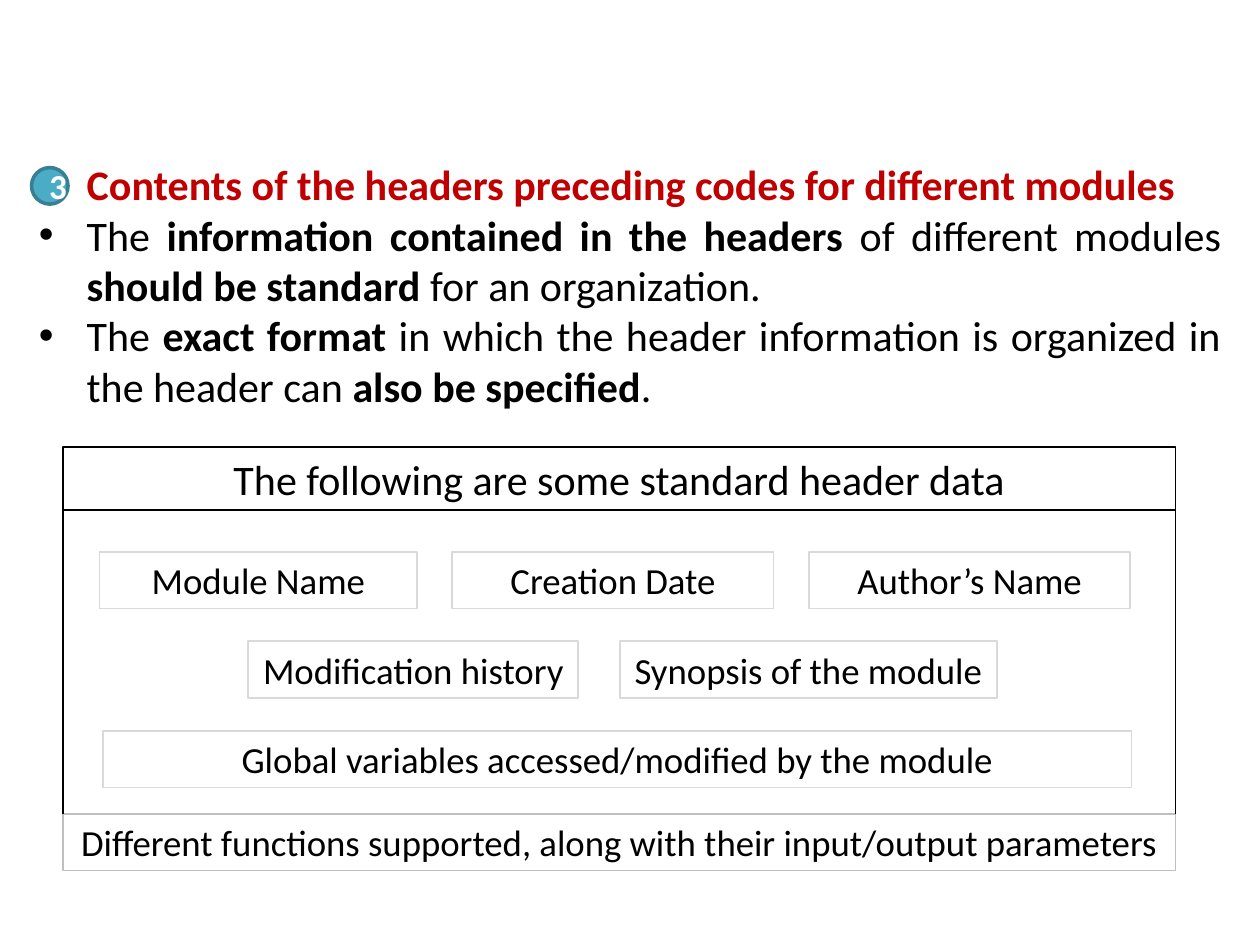
from dataclasses import dataclass

from lxml.etree import SubElement
from pptx import Presentation
from pptx.dml.color import RGBColor
from pptx.enum.shapes import MSO_CONNECTOR, MSO_SHAPE
from pptx.enum.text import MSO_ANCHOR, MSO_AUTO_SIZE, PP_ALIGN
from pptx.oxml.ns import qn
from pptx.util import Inches, Pt


@dataclass(frozen=True)
class Theme:
    """Colours, typeface and type sizes of the slide."""

    font: str = "Calibri"
    black: str = "000000"
    white: str = "FFFFFF"
    heading: str = "C00000"
    field_line: str = "D9D9D9"
    footer_line: str = "BFBFBF"
    badge: str = "4BACC6"
    badge_line: str = "377F92"
    body_size: int = 24
    field_size: int = 21
    badge_size: int = 20


THEME = Theme()
INDENT = 0.38
FRAME_LEFT, FRAME_WIDTH = 0.5, 8.83
FRAME_TOP, HEADER_HEIGHT, FOOTER_TOP = 3.55, 0.5, 6.46
FIELD_TOP, FIELD_STEP, FIELD_HEIGHT = 4.38, 0.71, 0.45

HEADING = "Contents of the headers preceding codes for different modules"
BULLETS = [
    [("The ", False), ("information contained in the headers ", True),
     ("of different modules ", False), ("should be standard", True),
     (" for an organization.", False)],
    [("The ", False), ("exact format ", True),
     ("in which the header information is organized in the header can ", False),
     ("also be specified", True), (".", False)],
]
FIELD_ROWS = [
    (0.79, 0.28, True, [("Module Name", 2.52), ("Creation Date", 2.55), ("Author’s Name", 2.55)]),
    (1.97, 0.33, False, [("Modification history", 2.62), ("Synopsis of the module", 2.99)]),
    (0.82, 0, True, [("Global variables accessed/modified by the module", 8.16)]),
]


def colour(value):
    """Turn a hex string into a colour."""
    return RGBColor.from_string(value)


def style_paragraph(para, size, ink, align, bold=None):
    """Set the font and alignment of a paragraph."""
    para.alignment = align
    para.font.name = THEME.font
    para.font.size = Pt(size)
    para.font.color.rgb = colour(ink)
    para.font.bold = bold


def indent_paragraph(para, first_line=0, bullet=None):
    """Indent a paragraph and hang a bullet on it if one is given."""
    properties = para._p.get_or_add_pPr()
    properties.set("marL", str(Inches(INDENT)))
    properties.set("indent", str(Inches(first_line)))
    if bullet:
        SubElement(properties, qn("a:buFont"), typeface="Arial")
        SubElement(properties, qn("a:buChar"), char=bullet)
        properties.append(properties.find(qn("a:defRPr")))


def add_body(page):
    """Add the heading and its bullets in one text box."""
    box = page.shapes.add_textbox(Inches(0.21), Inches(1.21), Inches(9.58), Inches(2.12))
    frame = box.text_frame
    frame.word_wrap = True
    frame.auto_size = MSO_AUTO_SIZE.SHAPE_TO_FIT_TEXT
    para = frame.paragraphs[0]
    para.text = HEADING
    style_paragraph(para, THEME.body_size, THEME.heading, PP_ALIGN.JUSTIFY, True)
    indent_paragraph(para)
    for spans in BULLETS:
        para = frame.add_paragraph()
        style_paragraph(para, THEME.body_size, THEME.black, PP_ALIGN.JUSTIFY)
        indent_paragraph(para, -INDENT, "•")
        for text, bold in spans:
            span = para.add_run()
            span.text = text
            span.font.bold = bold


def add_label(page, text, area, size, line, kind=MSO_SHAPE.RECTANGLE, fill=THEME.white,
              ink=THEME.black, line_width=1, bold=None, wrap=True):
    """Add a filled, outlined shape with centred text."""
    shape = page.shapes.add_shape(kind, *map(Inches, area))
    shape.shadow.inherit = False
    shape.fill.solid()
    shape.fill.fore_color.rgb = colour(fill)
    shape.line.color.rgb = colour(line)
    shape.line.width = Pt(line_width)
    frame = shape.text_frame
    frame.word_wrap = wrap
    frame.vertical_anchor = MSO_ANCHOR.MIDDLE
    para = frame.paragraphs[0]
    para.text = text
    style_paragraph(para, size, ink, PP_ALIGN.CENTER, bold)


def add_side(page, x):
    """Add one vertical side of the frame."""
    side = page.shapes.add_connector(
        MSO_CONNECTOR.STRAIGHT, Inches(x), Inches(FRAME_TOP + HEADER_HEIGHT),
        Inches(x), Inches(FOOTER_TOP))
    side.line.color.rgb = colour(THEME.black)
    side.line.width = Pt(0.75)
    SubElement(side._element.spPr, qn("a:effectLst"))


def add_fields(page):
    """Lay out the header fields row by row."""
    for row, (left, gap, wrap, fields) in enumerate(FIELD_ROWS):
        top = FIELD_TOP + row * FIELD_STEP
        for text, width in fields:
            add_label(page, text, (left, top, width, FIELD_HEIGHT),
                      THEME.field_size, THEME.field_line, wrap=wrap)
            left += width + gap


def main():
    """Build and save the slide."""
    deck = Presentation()
    deck.slide_width, deck.slide_height = Inches(10), Inches(7.5)
    page = deck.slides.add_slide(deck.slide_layouts[6])
    add_body(page)
    add_fields(page)
    add_label(page, "Different functions supported, along with their input/output parameters",
              (FRAME_LEFT, FOOTER_TOP, FRAME_WIDTH, FIELD_HEIGHT),
              THEME.field_size, THEME.footer_line)
    add_label(page, "The following are some standard header data",
              (FRAME_LEFT, FRAME_TOP, FRAME_WIDTH, HEADER_HEIGHT),
              THEME.body_size, THEME.black)
    for x in (FRAME_LEFT, FRAME_LEFT + FRAME_WIDTH):
        add_side(page, x)
    add_label(page, "3", (0.25, 1.33, 0.29, 0.29), THEME.badge_size, THEME.badge_line,
              MSO_SHAPE.OVAL, THEME.badge, THEME.white, 2, True)
    deck.save("out.pptx")


if __name__ == "__main__":
    main()
